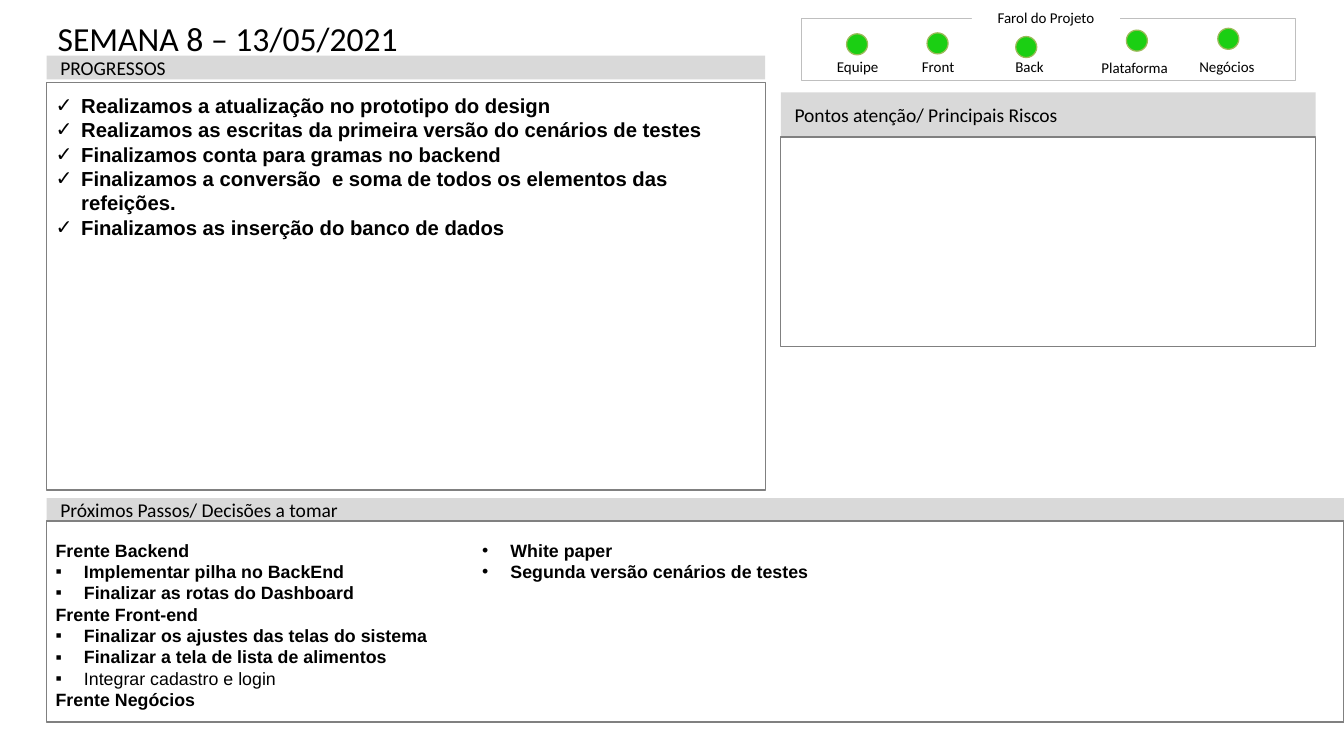
from lxml import etree
from pptx import Presentation
from pptx.dml.color import RGBColor
from pptx.enum.shapes import MSO_SHAPE
from pptx.enum.text import MSO_ANCHOR, PP_ALIGN
from pptx.oxml.ns import qn
from pptx.util import Inches, Pt

RECTANGLE, OVAL = MSO_SHAPE.RECTANGLE, MSO_SHAPE.OVAL
TOP, MIDDLE, BOTTOM = MSO_ANCHOR.TOP, MSO_ANCHOR.MIDDLE, MSO_ANCHOR.BOTTOM
LEFT, CENTER = PP_ALIGN.LEFT, PP_ALIGN.CENTER

COLORS = {
    "text": "000000",
    "header": "D9D9D9",
    "border": "808080",
    "legend": "BFBFBF",
    "white": "FFFFFF",
    "lamp": "1BCF13",
    "lamp_edge": "9BBB59",
}

# The grid has ten columns and ten rows to the inch.
CELL = Inches(0.1)
COLUMNS, ROWS = 147, 82.7
LEFT_COLUMN, LEFT_WIDTH = 5.1, 78.6
RIGHT_COLUMN, RIGHT_WIDTH = 85.4, 58.5
FULL_WIDTH = COLUMNS - LEFT_COLUMN

presentation = Presentation()
presentation.slide_width = round(COLUMNS * CELL)
presentation.slide_height = round(ROWS * CELL)
slide = presentation.slides.add_slide(presentation.slide_layouts[6])


def add_box(column, row, width, height, kind=RECTANGLE, fill=None, line=None, weight=1):
    """Add a preset shape placed in grid cells, without fill or line by default."""
    shape = slide.shapes.add_shape(kind, *(round(n * CELL) for n in (column, row, width, height)))
    shape.shadow.inherit = False
    if fill:
        shape.fill.solid()
        shape.fill.fore_color.rgb = RGBColor.from_string(COLORS[fill])
    else:
        shape.fill.background()
    if line:
        shape.line.color.rgb = RGBColor.from_string(COLORS[line])
        shape.line.width = Pt(weight)
    else:
        shape.line.fill.background()
    return shape


def write_text(shape, lines, size, font="Calibri", anchor=MIDDLE, align=LEFT,
               insets=(0.15, 0.07, 0.15, 0.07), wrap=True, indent=0, space_after=0):
    """Fill a shape with lines, each given as (bullet, text, bold)."""
    frame = shape.text_frame
    frame.word_wrap = wrap
    frame.vertical_anchor = anchor
    frame.margin_left, frame.margin_top, frame.margin_right, frame.margin_bottom = map(Inches, insets)
    for number, (bullet, text, bold) in enumerate(lines):
        paragraph = frame.add_paragraph() if number else frame.paragraphs[0]
        paragraph.alignment = align
        paragraph.space_after = Pt(space_after)
        run = paragraph.add_run()
        run.text = text
        run.font.size = Pt(size)
        run.font.name = font
        run.font.bold = bold
        run.font.color.rgb = RGBColor.from_string(COLORS["text"])
        if bullet:
            properties = paragraph._p.get_or_add_pPr()
            properties.set("marL", str(Inches(indent)))
            properties.set("indent", str(-Inches(indent)))
            etree.SubElement(properties, qn("a:buFont")).set("typeface", font)
            etree.SubElement(properties, qn("a:buChar")).set("char", bullet)


# Title
title = slide.shapes.add_textbox(*(round(n * CELL) for n in (LEFT_COLUMN, 2, 80, 4.1)))
write_text(title, [(None, "SEMANA 8 – 13/05/2021", False)], 26.5, anchor=TOP,
           insets=(0.12, 0, 0.12, 0), space_after=8.8)

# Section headers
headers = [
    ("PROGRESSOS", LEFT_COLUMN, 6.1, LEFT_WIDTH, 2.6),
    ("Pontos atenção/ Principais Riscos", RIGHT_COLUMN, 10.1, RIGHT_WIDTH, 4.9),
    ("Próximos Passos/ Decisões a tomar", LEFT_COLUMN, 54.5, FULL_WIDTH, 2.5),
]
for text, column, row, width, height in headers:
    write_text(add_box(column, row, width, height, fill="header"), [(None, text, False)], 15.4)

# Section panels
add_box(RIGHT_COLUMN, 15, RIGHT_WIDTH, 22.9, line="border")

progress = [
    "Realizamos a atualização no prototipo do design",
    "Realizamos as escritas da primeira versão do cenários de testes",
    "Finalizamos conta para gramas no backend",
    "Finalizamos a conversão  e soma de todos os elementos das refeições.",
    "Finalizamos as inserção do banco de dados",
]
progress_panel = add_box(LEFT_COLUMN, 9, LEFT_WIDTH, 44.6, line="border")
write_text(progress_panel, [("✓", text, True) for text in progress], 16, font="Arial",
           anchor=TOP, insets=(0.1, 0.12, 0.1, 0.05), indent=0.28)

next_steps = [
    (None, "Frente Backend", True),
    ("▪", "Implementar pilha no BackEnd", True),
    ("▪", "Finalizar as rotas do Dashboard", True),
    (None, "Frente Front-end", True),
    ("▪", "Finalizar os ajustes das telas do sistema", True),
    ("▪", "Finalizar a tela de lista de alimentos", True),
    ("▪", "Integrar cadastro e login", False),
    (None, "Frente Negócios", True),
    ("•", "White paper", True),
    ("•", "Segunda versão cenários de testes", True),
]
next_panel = add_box(LEFT_COLUMN, 57, FULL_WIDTH, 22, line="border")
write_text(next_panel, next_steps, 14, font="Arial", insets=(0.1, 0.12, 0.1, 0.05), indent=0.31)
next_panel.text_frame._txBody.bodyPr.set("numCol", "3")

# Project status lights
label_format = {"anchor": BOTTOM, "align": CENTER, "insets": (0.06, 0.06, 0.06, 0), "wrap": False}
add_box(87.7, 2, 54, 6.8, line="legend", weight=0.5)
legend_title = add_box(106.3, 0.6, 16.2, 2.3, fill="white")
write_text(legend_title, [(None, "Farol do Projeto", False)], 11.8, **label_format)

lights = [
    ("Equipe", 88.9, 6.3, 92.6, 3.7),
    ("Front", 97.7, 6.3, 101.4, 3.6),
    ("Back", 107.7, 6.3, 111.1, 4),
    ("Plataforma", 119.2, 6.4, 123.2, 3.3),
    ("Negócios", 129.3, 6.3, 133.2, 3.1),
]
for text, label_column, label_row, lamp_column, lamp_row in lights:
    add_box(lamp_column, lamp_row, 2.3, 2.3, kind=OVAL, fill="lamp", line="lamp_edge")
    label = add_box(label_column, label_row, 9.8, 2)
    write_text(label, [(None, text, False)], 11.8, **label_format)

presentation.save("out.pptx")
